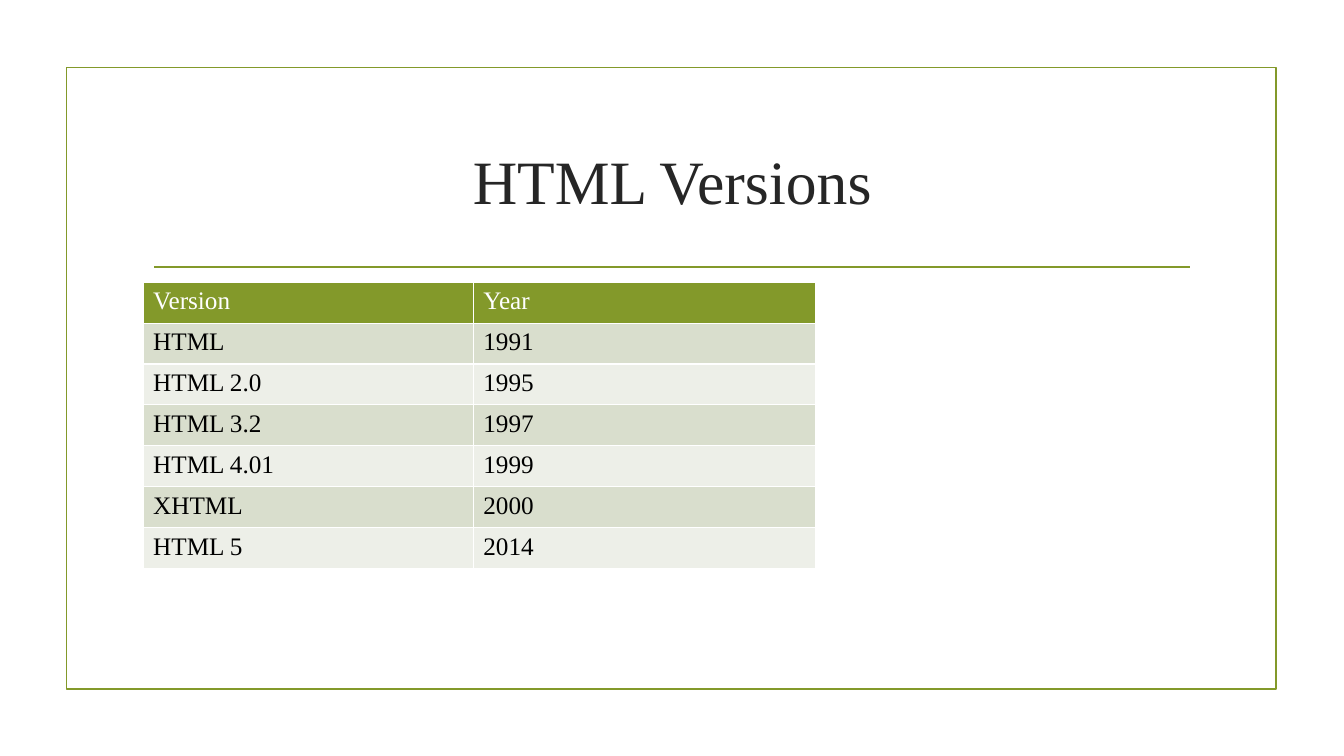
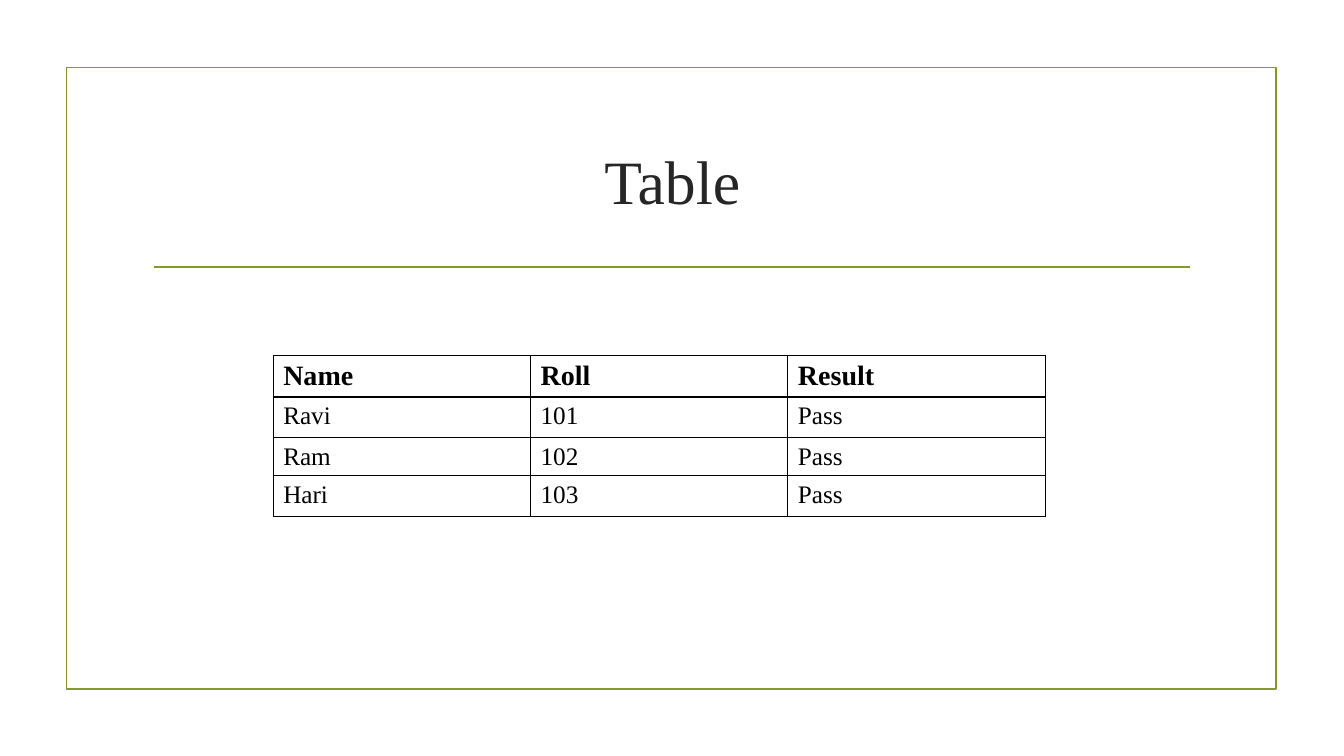
"""Build two titled table slides that share a green frame and rule."""
import lxml.etree
import pptx
import pptx.dml.color
import pptx.enum.shapes
import pptx.enum.text
import pptx.oxml.ns
import pptx.util

GREEN = pptx.dml.color.RGBColor(0x83, 0x99, 0x2A)
SAGE = pptx.dml.color.RGBColor(0xD9, 0xDE, 0xCD)
PALE = pptx.dml.color.RGBColor(0xED, 0xEF, 0xE8)
CHARCOAL = pptx.dml.color.RGBColor(0x26, 0x26, 0x26)
BLACK = pptx.dml.color.RGBColor(0, 0, 0)
WHITE = pptx.dml.color.RGBColor(0xFF, 0xFF, 0xFF)

FONT = "Times New Roman"
COLUMNS, ROWS = 160, 90
TITLE_ONLY = 5
ROW_HEIGHT = 4.87


def write(text_frame, text, size=18, color=BLACK, bold=False, align=pptx.enum.text.PP_ALIGN.LEFT):
    """Write one formatted paragraph into a text frame."""
    text_frame.word_wrap = True
    paragraph = text_frame.paragraphs[0]
    paragraph.alignment = align
    run = paragraph.add_run()
    run.text = text
    run.font.name = FONT
    run.font.size = pptx.util.Pt(size)
    run.font.bold = bold
    run.font.color.rgb = color


def set_borders(cell, color, width=1):
    """Draw a solid line on all four sides of a table cell."""
    qn = pptx.oxml.ns.qn
    properties = cell._tc.get_or_add_tcPr()
    for side in ("lnL", "lnR", "lnT", "lnB"):
        line = lxml.etree.SubElement(properties, qn(f"a:{side}"), w=str(pptx.util.Pt(width)))
        fill = lxml.etree.SubElement(line, qn("a:solidFill"))
        lxml.etree.SubElement(fill, qn("a:srgbClr"), val=str(color))


class Deck:
    """Hold the shared style and the current slide."""

    def __init__(self):
        """Start a widescreen presentation."""
        self.presentation = pptx.Presentation()
        self.presentation.slide_width = pptx.util.Inches(13.33)
        self.presentation.slide_height = pptx.util.Inches(7.5)
        self.slide = None

    def x(self, columns):
        """Turn grid columns into a length."""
        return round(self.presentation.slide_width * columns / COLUMNS)

    def y(self, rows):
        """Turn grid rows into a length."""
        return round(self.presentation.slide_height * rows / ROWS)

    def box(self, left, top, width, height):
        """Turn a grid rectangle into lengths."""
        return self.x(left), self.y(top), self.x(width), self.y(height)

    def add_slide(self, title):
        """Add a slide with its frame, rule and title."""
        layout = self.presentation.slide_layouts[TITLE_ONLY]
        self.slide = self.presentation.slides.add_slide(layout)
        self.add_frame(7.92, 8.04, 144, 74)
        self.add_rule(18.36, 141.72, 31.8)
        self.add_title(title)

    def add_frame(self, left, top, width, height):
        """Outline the slide area."""
        frame = self.slide.shapes.add_shape(
            pptx.enum.shapes.MSO_SHAPE.RECTANGLE, *self.box(left, top, width, height))
        frame.shadow.inherit = False
        frame.fill.background()
        self.style_line(frame.line)

    def add_rule(self, start, end, row):
        """Draw the horizontal line under the title."""
        rule = self.slide.shapes.add_connector(
            pptx.enum.shapes.MSO_CONNECTOR.STRAIGHT,
            self.x(start), self.y(row), self.x(end), self.y(row))
        self.style_line(rule.line)
        lxml.etree.SubElement(rule._element.spPr, pptx.oxml.ns.qn("a:effectLst"))

    def style_line(self, line):
        """Give a line the shared colour and width."""
        line.color.rgb = GREEN
        line.width = pptx.util.Pt(1.25)

    def add_title(self, text):
        """Place and fill the title placeholder."""
        title = self.slide.shapes.title
        title.left, title.top, title.width, title.height = self.box(17.04, 12.84, 126, 17.16)
        title.text_frame.vertical_anchor = pptx.enum.text.MSO_ANCHOR.MIDDLE
        write(title.text_frame, text, size=44, color=CHARCOAL,
              align=pptx.enum.text.PP_ALIGN.CENTER)

    def add_table(self, left, top, widths, heights, records, border, header, fills=None):
        """Add a table with a header format and optional header and band fills."""
        shape = self.slide.shapes.add_table(
            len(records), len(widths), *self.box(left, top, sum(widths), sum(heights)))
        table = shape.table
        table.first_row = table.horz_banding = False
        for column, width in zip(table.columns, widths):
            column.width = self.x(width)
        for index, (height, record) in enumerate(zip(heights, records)):
            table.rows[index].height = self.y(height)
            for cell, text in zip(table.rows[index].cells, record):
                write(cell.text_frame, text, **(header if index == 0 else {}))
                set_borders(cell, border)
                if fills:
                    cell.fill.solid()
                    cell.fill.fore_color.rgb = fills[0] if index == 0 else fills[2 - index % 2]
                else:
                    cell.fill.background()


def main():
    """Build and save both slides."""
    deck = Deck()

    deck.add_slide("HTML Versions")
    versions = [
        ("Version", "Year"),
        ("HTML", "1991"),
        ("HTML 2.0", "1995"),
        ("HTML 3.2", "1997"),
        ("HTML 4.01", "1999"),
        ("XHTML", "2000"),
        ("HTML 5", "2014"),
    ]
    deck.add_table(17.04, 33.6, [39.3, 40.8], [ROW_HEIGHT] * len(versions), versions,
                   border=WHITE, header={"color": WHITE}, fills=(GREEN, SAGE, PALE))

    deck.add_slide("Table")
    results = [
        ("Name", "Roll", "Result"),
        ("Ravi", "101", "Pass"),
        ("Ram", "102", "Pass"),
        ("Hari", "103", "Pass"),
    ]
    deck.add_table(32.52, 42.36, [30.64] * 3, [ROW_HEIGHT, ROW_HEIGHT, 4.08, ROW_HEIGHT],
                   results, border=BLACK, header={"size": 20, "bold": True})

    deck.presentation.save("out.pptx")


if __name__ == "__main__":
    main()
